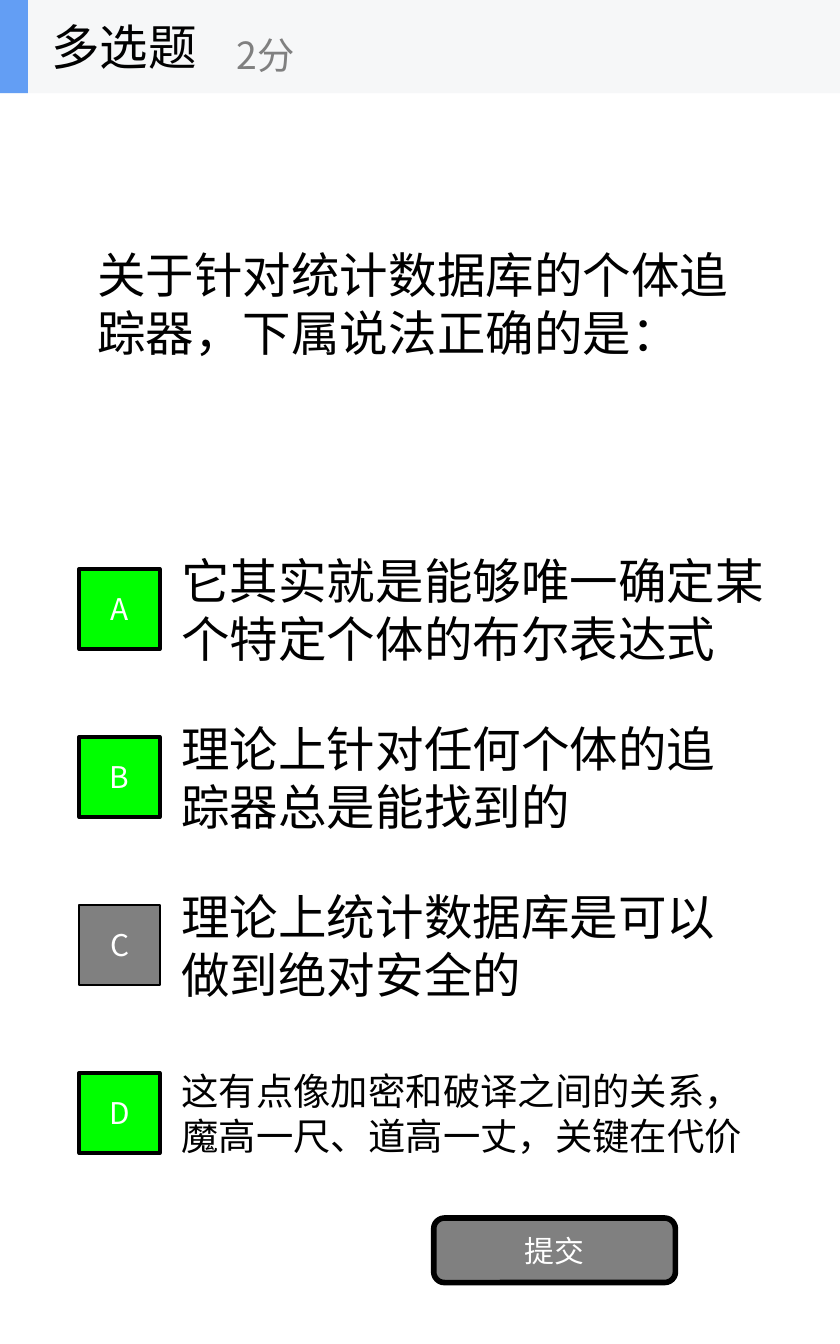
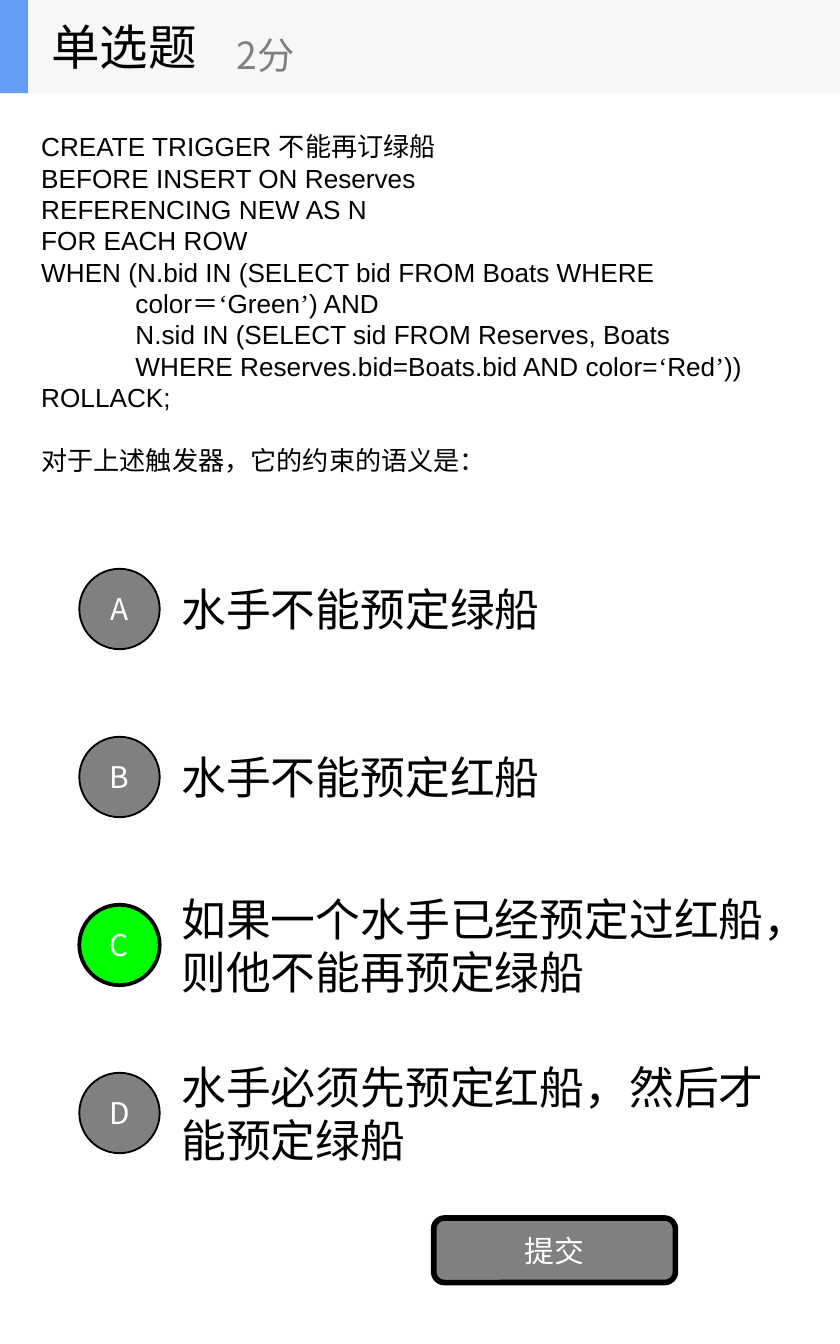
"""Build two quiz slides: a multiple-choice and a single-choice question."""
from itertools import groupby

from lxml.etree import SubElement
from pptx import Presentation
from pptx.dml.color import RGBColor
from pptx.enum.shapes import MSO_SHAPE as Shape
from pptx.enum.text import MSO_ANCHOR as Anchor, PP_ALIGN as Align
from pptx.oxml.ns import qn
from pptx.util import Cm, Pt

SANS, CODE, QUOTE = "Noto Sans CJK SC", "Arial", "Times New Roman"
BLACK, WHITE, GRAY = "000000", "FFFFFF", "808080"
CORRECT, BAND, ACCENT = "00FF00", "F6F7F8", "639EF4"

SLIDE_WIDTH, SLIDE_HEIGHT = 15.88, 25.4
HEADER_HEIGHT, QUESTION_HEIGHT = 1.76, 7.94
OPTION_TOP, OPTION_STEP, OPTION_LEFT, OPTION_HEIGHT = 10.32, 3.175, 3.18, 2.38
MARKER_LEFT, MARKER_SIZE = 1.5, 1.52
WIDE, NARROW = 12.34, 11.11

TRIGGER_QUESTION = """CREATE TRIGGER 不能再订绿船
BEFORE INSERT ON Reserves
REFERENCING NEW AS N
FOR EACH ROW
WHEN (N.bid IN (SELECT bid FROM Boats WHERE
             color＝‘Green’) AND
             N.sid IN (SELECT sid FROM Reserves, Boats
             WHERE Reserves.bid=Boats.bid AND color=‘Red’))
ROLLACK;
对于上述触发器，它的约束的语义是："""

QUIZZES = [
    {
        "kind": "多选题", "marker": Shape.RECTANGLE, "answers": "ABD",
        "question": "关于针对统计数据库的个体追踪器，下属说法正确的是：",
        "left": 1.59, "width": 12.7, "format": {"size": 26},
        "options": [
            ("它其实就是能够唯一确定某个特定个体的布尔表达式", 26, WIDE),
            ("理论上针对任何个体的追踪器总是能找到的", 26, NARROW),
            ("理论上统计数据库是可以做到绝对安全的", 26, NARROW),
            ("这有点像加密和破译之间的关系，魔高一尺、道高一丈，关键在代价", 20, NARROW),
        ],
    },
    {
        "kind": "单选题", "marker": Shape.OVAL, "answers": "C",
        "question": TRIGGER_QUESTION,
        "left": 0.53, "width": 14.99,
        "format": {"size": 14, "font": CODE, "last_gap": 16.8},
        "options": [
            ("水手不能预定绿船", 24, WIDE),
            ("水手不能预定红船", 24, WIDE),
            ("如果一个水手已经预定过红船，则他不能再预定绿船", 24, WIDE),
            ("水手必须先预定红船，然后才能预定绿船", 24, WIDE),
        ],
    },
]


def color(value):
    return RGBColor.from_string(value)


def is_quote(character):
    return character in "‘’"


def write(shape, text, size=16, font=SANS, fill=BLACK, align=Align.LEFT, last_gap=0):
    frame = shape.text_frame
    frame.word_wrap = True
    frame.vertical_anchor = Anchor.MIDDLE
    for index, line in enumerate(text.split("\n")):
        paragraph = frame.add_paragraph() if index else frame.paragraphs[0]
        paragraph.alignment = align
        for quoted, characters in groupby(line, is_quote):
            run = paragraph.add_run()
            run.text = "".join(characters)
            run.font.size = Pt(size)
            run.font.color.rgb = color(fill)
            run.font.name = QUOTE if quoted else font
            east_asian = SubElement(run.font._element, qn("a:ea"))
            east_asian.set("typeface", QUOTE if quoted else SANS)
    if last_gap:
        paragraph.space_before = Pt(last_gap)


def add_text(shapes, box, text, **text_format):
    write(shapes.add_textbox(*map(Cm, box)), text, **text_format)


def add_block(shapes, kind, box, fill, line_width=0, label=""):
    shape = shapes.add_shape(kind, *map(Cm, box))
    shape.shadow.inherit = False
    shape.fill.solid()
    shape.fill.fore_color.rgb = color(fill)
    if line_width:
        shape.line.color.rgb = color(BLACK)
        shape.line.width = Pt(line_width)
    else:
        shape.line.fill.background()
    if label:
        write(shape, label, fill=WHITE, align=Align.CENTER)


def add_header(slide, kind):
    shapes = slide.shapes.add_group_shape().shapes
    add_block(shapes, Shape.RECTANGLE, (0, 0, SLIDE_WIDTH, HEADER_HEIGHT), BAND)
    add_block(shapes, Shape.RECTANGLE, (0, 0, 0.53, HEADER_HEIGHT), ACCENT)
    add_text(shapes, (0.72, 0, 5.28, HEADER_HEIGHT), kind, size=26)
    add_text(shapes, (4.23, 0.32, 6.35, 1.43), "2分", size=20, fill=GRAY)


def add_quiz(slide, quiz):
    shapes = slide.shapes
    question_box = (quiz["left"], HEADER_HEIGHT, quiz["width"], QUESTION_HEIGHT)
    add_text(shapes, question_box, quiz["question"], **quiz["format"])
    for index, (letter, option) in enumerate(zip("ABCD", quiz["options"])):
        text, size, width = option
        top = OPTION_TOP + index * OPTION_STEP
        add_text(shapes, (OPTION_LEFT, top, width, OPTION_HEIGHT), text, size=size)
        marker_top = top + (OPTION_HEIGHT - MARKER_SIZE) / 2
        marker_box = (MARKER_LEFT, marker_top, MARKER_SIZE, MARKER_SIZE)
        fill, line_width = (CORRECT, 2) if letter in quiz["answers"] else (GRAY, 1)
        add_block(shapes, quiz["marker"], marker_box, fill, line_width, letter)
    add_block(shapes, Shape.ROUNDED_RECTANGLE, (8.2, 23.02, 4.57, 1.22), GRAY, 3, "提交")
    add_header(slide, quiz["kind"])


def main():
    presentation = Presentation()
    presentation.slide_width = Cm(SLIDE_WIDTH)
    presentation.slide_height = Cm(SLIDE_HEIGHT)
    for quiz in QUIZZES:
        add_quiz(presentation.slides.add_slide(presentation.slide_layouts[6]), quiz)
    presentation.save("out.pptx")


if __name__ == "__main__":
    main()
